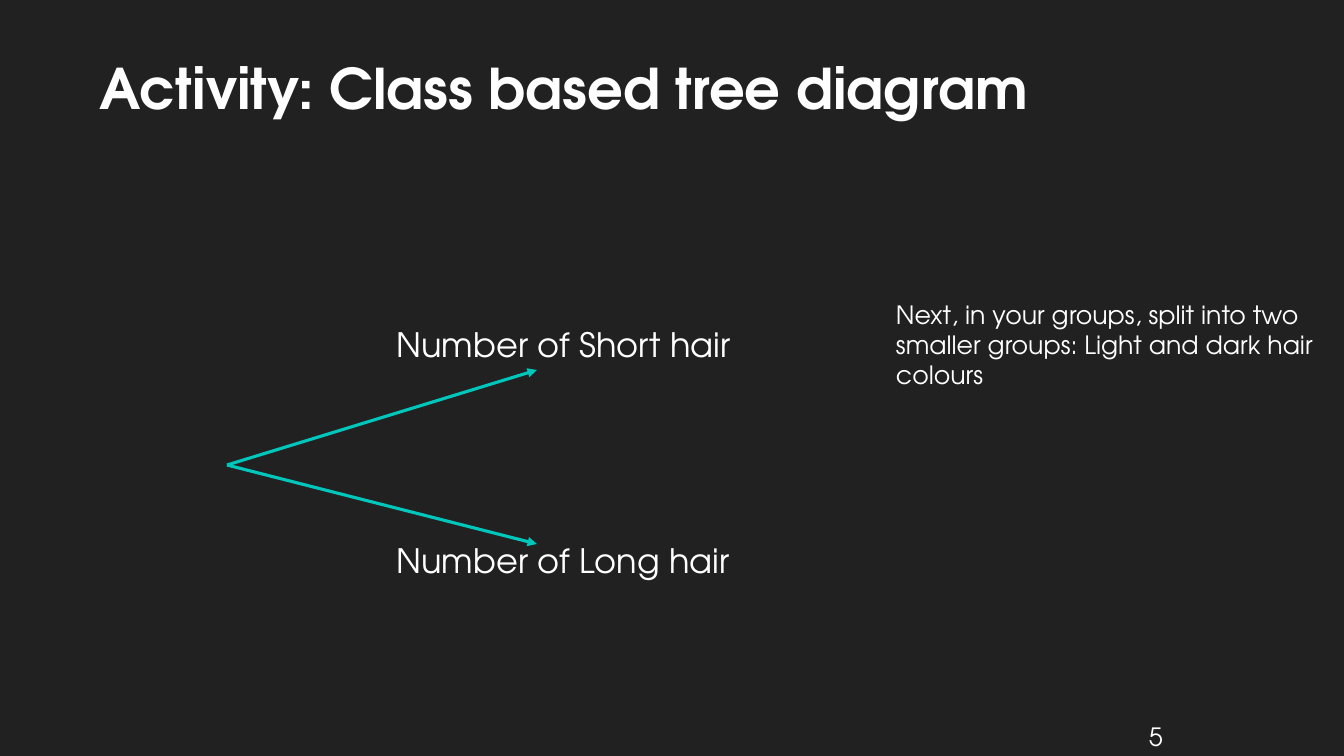
from lxml import etree
from pptx import Presentation
from pptx.dml.color import RGBColor
from pptx.enum.shapes import MSO_CONNECTOR
from pptx.enum.text import MSO_ANCHOR
from pptx.oxml.ns import qn
from pptx.util import Emu, Pt

STRAIGHT = MSO_CONNECTOR.STRAIGHT
TOP = MSO_ANCHOR.TOP

BACKGROUND = RGBColor(0x21, 0x21, 0x21)
WHITE = RGBColor(0xFF, 0xFF, 0xFF)
TITLE_WHITE = RGBColor(0xFE, 0xFE, 0xFE)
TEAL = RGBColor(0x00, 0xC6, 0xBB)
FONT = "TeX Gyre Adventor"
PX_PER_INCH = 100.8
INSET = 10


def px(length):
    return Emu(round(length * 914400 / PX_PER_INCH))


def add_text(slide, text, left, top, width, height, size,
             color=WHITE, bold=False, left_inset=INSET):
    shape = slide.shapes.add_textbox(px(left), px(top), px(width), px(height))
    frame = shape.text_frame
    frame.word_wrap = True
    frame.vertical_anchor = TOP
    frame.margin_left = px(left_inset)
    run = frame.paragraphs[0].add_run()
    run.text = text
    run.font.name = FONT
    run.font.size = Pt(size)
    run.font.bold = bold
    run.font.color.rgb = color


def add_branch(slide, start, end):
    connector = slide.shapes.add_connector(
        STRAIGHT, *(px(length) for length in start + end))
    connector.line.color.rgb = TEAL
    connector.line.width = Pt(2.25)
    arrowhead = etree.SubElement(connector.line._get_or_add_ln(), qn("a:tailEnd"))
    arrowhead.set("type", "triangle")
    etree.SubElement(connector._element.spPr, qn("a:effectLst"))


def main():
    presentation = Presentation()
    presentation.slide_width = px(1344)
    presentation.slide_height = px(756)
    slide = presentation.slides.add_slide(presentation.slide_layouts[6])
    slide.background.fill.solid()
    slide.background.fill.fore_color.rgb = BACKGROUND

    add_text(slide, "5", 1132, 716, 60, 40, 18, left_inset=17)

    tree_root = (227, 465)
    branches = [
        ("Number of Short hair", 319, 370),
        ("Number of Long hair", 535, 544),
    ]
    for label, label_top, arrow_y in branches:
        add_branch(slide, tree_root, (537, arrow_y))
        add_text(slide, label, 386, label_top, 420, 50, 24)

    add_text(slide, "Next, in your groups, split into two smaller groups: "
             "Light and dark hair colours", 886, 294, 493, 102, 18)
    add_text(slide, "Activity: Class based tree diagram",
             90, 49, 1165, 107, 40, TITLE_WHITE, True)

    presentation.save("out.pptx")


if __name__ == "__main__":
    main()
